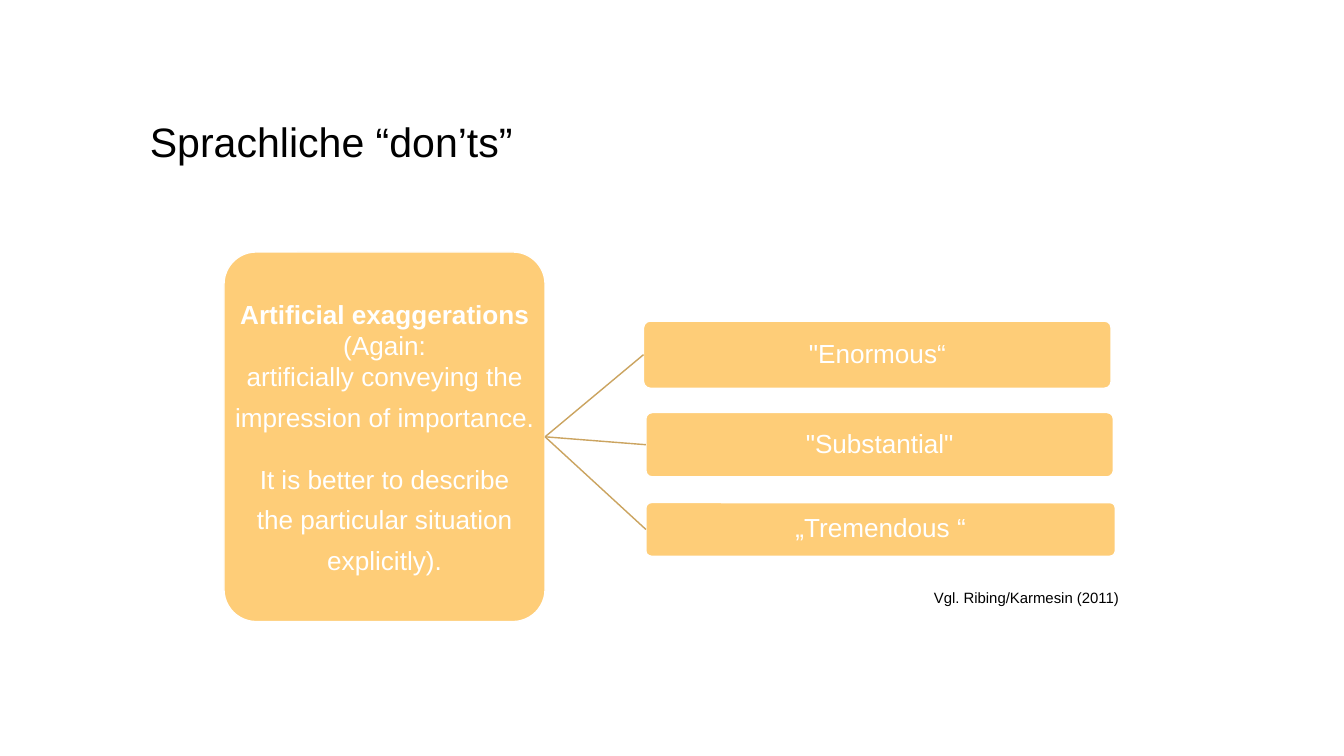
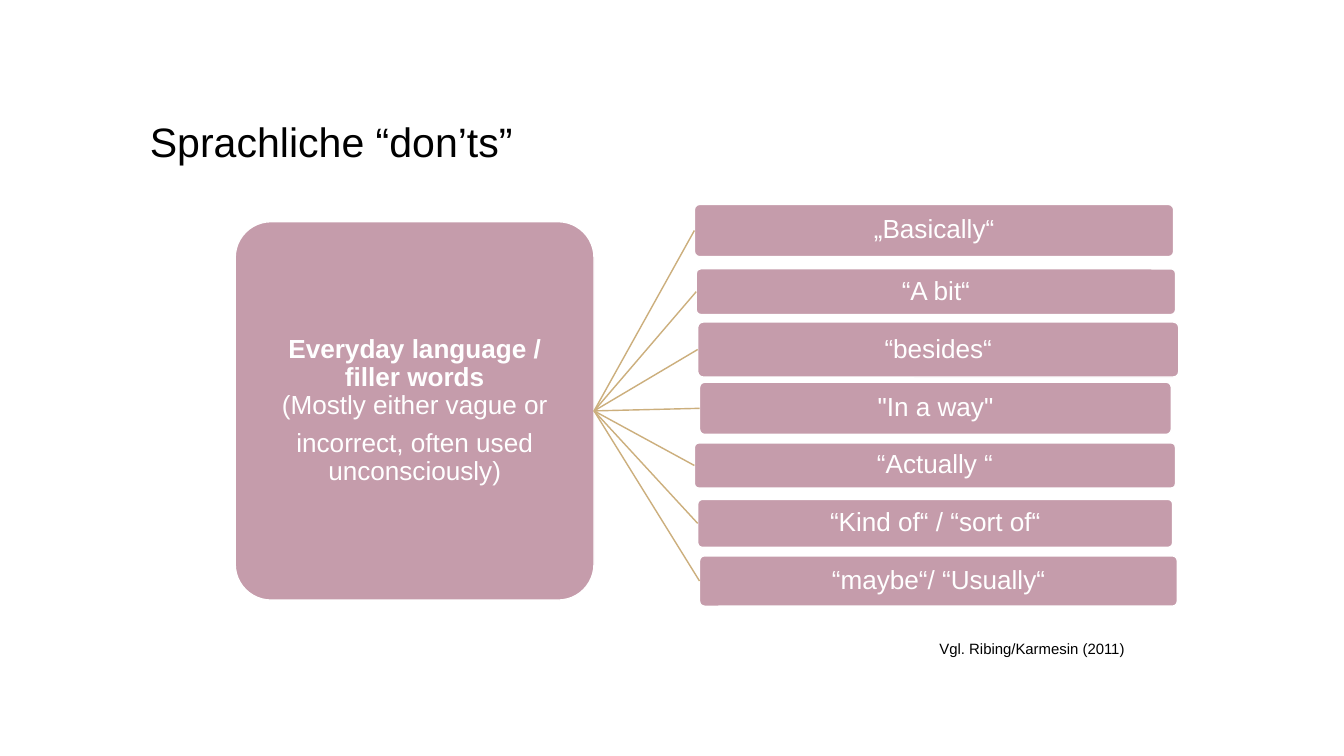
from lxml import etree
from pptx import Presentation
from pptx.dml.color import RGBColor
from pptx.enum.shapes import MSO_CONNECTOR, MSO_SHAPE
from pptx.enum.text import MSO_ANCHOR, PP_ALIGN
from pptx.oxml.ns import qn
from pptx.util import Pt

ROUNDED = MSO_SHAPE.ROUNDED_RECTANGLE
STRAIGHT = MSO_CONNECTOR.STRAIGHT
MIDDLE = MSO_ANCHOR.MIDDLE
CENTER = PP_ALIGN.CENTER

FONT = "Arial"
BLACK = RGBColor(0x00, 0x00, 0x00)
WHITE = RGBColor(0xFF, 0xFF, 0xFF)
AMBER = RGBColor(0xFE, 0xCD, 0x78)
MAUVE = RGBColor(0xC5, 0x9C, 0xAB)
GOLD = RGBColor(0xCB, 0xA4, 0x60)
SAND = RGBColor(0xCC, 0xAF, 0x7D)

LEFT_SITE, RIGHT_SITE = 1, 3
EDGE = Pt(1.5)
GAP_AFTER = Pt(9.8)

TITLE = "Sprachliche “don’ts”"
SOURCE = "Vgl. Ribing/Karmesin (2011)"

topics = [
    {
        "fill": AMBER,
        "ray": GOLD,
        "spacing": 1.0,
        "source_at": (993.5, 627),
        "topic_at": (240, 270, 344, 396),
        "heading": "Artificial exaggerations",
        "advice": [
            ("(Again:\vartificially conveying the", 0),
            ("impression of importance.", 0),
            ("It is better to describe", 23),
            ("the particular situation", 0),
            ("explicitly).", 0),
        ],
        "examples": [
            ('"Enormous“', 689.5, 344, 501, 72),
            ('"Substantial"', 692, 442, 501, 69),
            ("„Tremendous “", 692, 538.5, 503, 57.5),
        ],
    },
    {
        "fill": MAUVE,
        "ray": SAND,
        "spacing": 0.9,
        "source_at": (999.5, 682),
        "topic_at": (252, 237.5, 384.5, 405.5),
        "heading": "Everyday language /\vfiller words",
        "advice": [
            ("(Mostly either vague or", 0),
            ("incorrect, often used\vunconsciously)", 0),
        ],
        "examples": [
            ("„Basically“", 744, 219, 513.5, 56),
            ("“A bit“", 746, 288, 513.5, 49),
            ("“besides“", 747.5, 345, 515.5, 59),
            ('"In a way"', 749.5, 409.5, 505.5, 56),
            ("“Actually “", 744, 474.5, 515.5, 48.5),
            ("“Kind of“ / “sort of“", 747.5, 535, 509, 51.5),
            ("“maybe“/ “Usually“", 749.5, 595.5, 512, 54),
        ],
    },
]


def add_label(slide, text, box, size, anchor):
    label = slide.shapes.add_textbox(*map(Pt, box))
    frame = label.text_frame
    frame.word_wrap = True
    frame.vertical_anchor = anchor
    frame.text = text
    font = frame.paragraphs[0].font
    font.name, font.size, font.color.rgb = FONT, Pt(size), BLACK
    return frame.paragraphs[0]


def add_card(slide, box, fill, spacing, lines):
    card = slide.shapes.add_shape(ROUNDED, *map(Pt, box))
    card.adjustments[0] = 0.1
    card.shadow.inherit = False
    card.fill.solid()
    card.fill.fore_color.rgb = fill
    card.line.color.rgb = WHITE
    card.line.width = EDGE
    frame = card.text_frame
    frame.word_wrap = True
    frame.vertical_anchor = MIDDLE
    frame.margin_left = frame.margin_right = Pt(1)
    frame.margin_top = frame.margin_bottom = Pt(1)
    for i, (text, before) in enumerate(lines):
        line = frame.add_paragraph() if i else frame.paragraphs[0]
        line.text = text
        line.alignment = CENTER
        line.line_spacing = spacing
        line.space_after = GAP_AFTER
        if before:
            line.space_before = Pt(before)
        line.font.name, line.font.size = FONT, Pt(28)
        line.font.color.rgb = WHITE
    return card


prs = Presentation()
prs.slide_width, prs.slide_height = Pt(1440), Pt(810)
blank = prs.slide_layouts[6]

for topic in topics:
    slide = prs.slides.add_slide(blank)
    title = add_label(slide, TITLE, (153.5, 104.5, 1134, 99), 44, MIDDLE)
    title.line_spacing = 0.9
    add_label(slide, SOURCE, (*topic["source_at"], 250, 26.5), 16, MSO_ANCHOR.TOP)

    (opening, before), *rest = topic["advice"]
    lines = [("", before), *rest]
    hub = add_card(slide, topic["topic_at"], topic["fill"], topic["spacing"], lines)
    first = hub.text_frame.paragraphs[0]
    first.text = topic["heading"] + "\v"
    for run in first.runs:
        run.font.bold = True
    for i, part in enumerate(opening.split("\v")):
        if i:
            first.add_line_break()
        first.add_run().text = part

    for text, *box in topic["examples"]:
        example = add_card(slide, box, topic["fill"], 0.9, [(text, 0)])
        ray = slide.shapes.add_connector(STRAIGHT, 0, 0, 0, 0)
        ray.begin_connect(hub, RIGHT_SITE)
        ray.end_connect(example, LEFT_SITE)
        ray.line.color.rgb = topic["ray"]
        ray.line.width = EDGE
        etree.SubElement(ray._element.spPr, qn("a:effectLst"))

prs.save("out.pptx")
